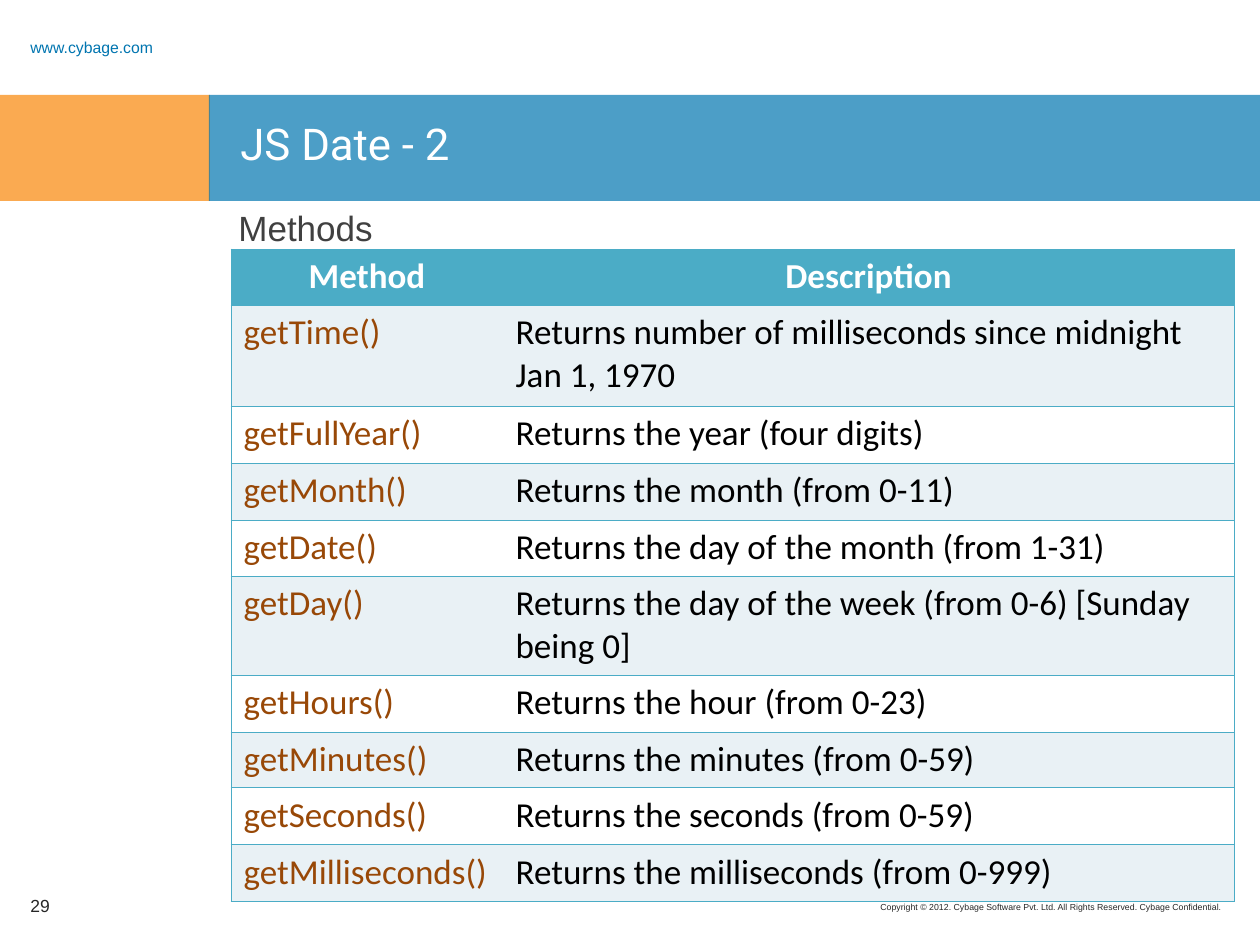
from dataclasses import dataclass

from pptx import Presentation
from pptx import util as u
from pptx.dml.color import RGBColor
from pptx.enum import shapes, text
from pptx.oxml.ns import qn
from lxml import etree

PX_PER_INCH = 126


@dataclass(frozen=True)
class Theme:
    orange: str = "F88608"
    blue: str = "0075B0"
    teal: str = "4BACC6"
    pale: str = "E9F1F5"
    white: str = "FFFFFF"
    black: str = "000000"
    brown: str = "984807"
    heading: str = "404040"
    footer: str = "262626"
    sans: str = "Arial"
    title_font: str = "Roboto"
    table_font: str = "Calibri"
    title_size: int = 25
    body_size: int = 20
    number_size: int = 10
    link_size: int = 9
    copyright_size: int = 5
    border_width: float = 0.45
    band_opacity: int = 70


THEME = Theme()

METHODS = [
    ("getTime()", "Returns number of milliseconds since midnight Jan 1, 1970"),
    ("getFullYear()", "Returns the year (four digits)"),
    ("getMonth()", "Returns the month (from 0-11)"),
    ("getDate()", "Returns the day of the month (from 1-31)"),
    ("getDay()", "Returns the day of the week (from 0-6) [Sunday being 0]"),
    ("getHours()", "Returns the hour (from 0-23)"),
    ("getMinutes()", "Returns the minutes (from 0-59)"),
    ("getSeconds()", "Returns the seconds (from 0-59)"),
    ("getMilliseconds()", "Returns the milliseconds (from 0-999)"),
]
COLUMN_WIDTHS = [272, 731]
ROW_HEIGHTS = [56, 101, 57, 57, 56, 99, 57, 56, 57, 57]


def px(length):
    return u.Emu(round(length * 914400 / PX_PER_INCH))


def write(frame, words, color, size, font, bold=False, **paragraph_format):
    paragraph = frame.paragraphs[0]
    for name, value in paragraph_format.items():
        setattr(paragraph, name, value)
    run = paragraph.add_run()
    run.text = words
    for name, value in {"name": font, "size": u.Pt(size), "bold": bold}.items():
        setattr(run.font, name, value)
    run.font.color.rgb = RGBColor.from_string(color)


def add_label(slide, box, words, color, size, font=THEME.sans,
              anchor=text.MSO_ANCHOR.TOP, **paragraph_format):
    frame = slide.shapes.add_textbox(*map(px, box)).text_frame
    frame.word_wrap = True
    frame.vertical_anchor = anchor
    write(frame, words, color, size, font, **paragraph_format)


def add_band(slide, box, color):
    shape = slide.shapes.add_shape(shapes.MSO_SHAPE.RECTANGLE, *map(px, box))
    shape.shadow.inherit = False
    shape.line.fill.background()
    shape.fill.solid()
    shape.fill.fore_color.rgb = RGBColor.from_string(color)
    color_element = shape.fill._xPr.find(qn("a:solidFill"))[0]
    etree.SubElement(color_element, qn("a:alpha"),
                     val=str(THEME.band_opacity * 1000))


def add_page_frame(slide, box):
    """Copyright line, web address and page number in the page corners."""
    left, top, width, height = box
    add_label(slide, (left + width - 474, top + height - 49, 449, 25),
              "Copyright © 2012. Cybage Software Pvt. Ltd. All Rights Reserved."
              " Cybage Confidential.",
              THEME.footer, THEME.copyright_size, alignment=text.PP_ALIGN.RIGHT)
    add_label(slide, (left + 18, top + 30, 189, 24), "www.cybage.com",
              THEME.blue, THEME.link_size, anchor=text.MSO_ANCHOR.MIDDLE,
              line_spacing=1.5)
    add_label(slide, (left + 18, top + height - 64, 68, 50), "29",
              THEME.footer, THEME.number_size, anchor=text.MSO_ANCHOR.MIDDLE)


def add_title_band(slide, box, title):
    left, top, width, height = box
    split = 209
    add_band(slide, (left, top, split + 1, height), THEME.orange)
    add_band(slide, (left + split, top, width - split, height), THEME.blue)
    add_label(slide, (left + 228, top + 16, 1000, 78), title,
              THEME.white, THEME.title_size, THEME.title_font)


def set_borders(cell, hidden_side):
    properties = cell._tc.get_or_add_tcPr()
    for side in "LRTB":
        line = etree.SubElement(properties, qn(f"a:ln{side}"),
                                w=str(u.Pt(THEME.border_width)))
        if side == hidden_side:
            etree.SubElement(line, qn("a:noFill"))
        else:
            fill = etree.SubElement(line, qn("a:solidFill"))
            etree.SubElement(fill, qn("a:srgbClr"), val=THEME.teal)


def add_method_table(slide, box):
    rows = [("Method", "Description")] + METHODS
    table = slide.shapes.add_table(len(rows), 2, *map(px, box)).table
    for column, width in zip(table.columns, COLUMN_WIDTHS):
        column.width = px(width)
    for row, height in zip(table.rows, ROW_HEIGHTS):
        row.height = px(height)

    for row_index, row in enumerate(rows):
        is_header = row_index == 0
        stripe = THEME.pale if row_index % 2 else THEME.white
        for column_index, words in enumerate(row):
            cell = table.cell(row_index, column_index)
            # The divider between the two columns stays open
            set_borders(cell, "RL"[column_index])
            cell.fill.solid()
            cell.fill.fore_color.rgb = RGBColor.from_string(
                THEME.teal if is_header else stripe)
            body_color = (THEME.brown, THEME.black)[column_index]
            write(cell.text_frame, words,
                  THEME.white if is_header else body_color,
                  THEME.body_size, THEME.table_font, bold=is_header,
                  alignment=text.PP_ALIGN.CENTER if is_header
                  else text.PP_ALIGN.LEFT)


def add_content(slide, box):
    """Heading with the table of methods below it."""
    left, top, width, height = box
    add_label(slide, (left, top, width, 50), "Methods",
              THEME.heading, THEME.body_size)
    add_method_table(slide, (left + 5, top + 49, sum(COLUMN_WIDTHS),
                             sum(ROW_HEIGHTS)))


def main():
    presentation = Presentation()
    presentation.slide_width, presentation.slide_height = px(1260), px(945)
    slide = presentation.slides.add_slide(presentation.slide_layouts[6])
    add_page_frame(slide, (0, 0, 1260, 945))
    add_title_band(slide, (0, 95, 1260, 106), "JS Date - 2")
    add_content(slide, (226, 200, 1008, 702))
    presentation.save("out.pptx")


if __name__ == "__main__":
    main()
